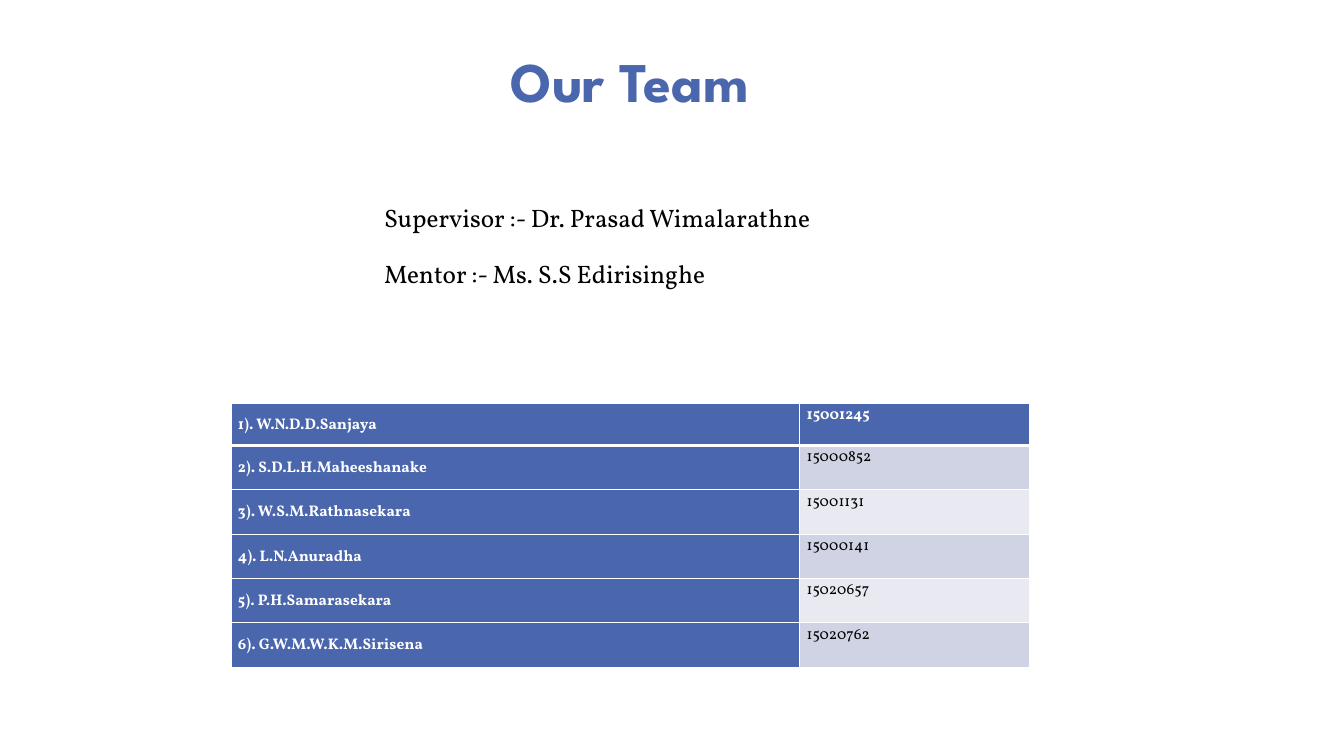
from lxml.etree import SubElement
from pptx import Presentation
from pptx.dml.color import RGBColor
from pptx.enum.text import MSO_ANCHOR, PP_ALIGN
from pptx.oxml.ns import qn
from pptx.util import Emu, Pt

EMU_PER_PX = 9144
COLORS = {
    "blue": "4A66AC",
    "white": "FFFFFF",
    "black": "000000",
    "band_dark": "D0D3E3",
    "band_light": "E9EAF1",
}
HEADING_FONT = "League Spartan"
BODY_FONT = "Vollkorn"
LEADERS = ["Supervisor :- Dr. Prasad Wimalarathne", "Mentor :- Ms. S.S Edirisinghe"]
MEMBERS = [
    ("1). W.N.D.D.Sanjaya", "15001245"),
    ("2). S.D.L.H.Maheeshanake", "15000852"),
    ("3). W.S.M.Rathnasekara", "15001131"),
    ("4). L.N.Anuradha", "15000141"),
    ("5). P.H.Samarasekara", "15020657"),
    ("6). G.W.M.W.K.M.Sirisena", "15020762"),
]
COLUMN_WIDTHS = [564, 228]
HEADER_HEIGHT, MEMBER_HEIGHT = 42, 44


def px(length):
    """Turn a length in px into EMU."""
    return Emu(length * EMU_PER_PX)


def rgb(name):
    """Look up a named colour."""
    return RGBColor.from_string(COLORS[name])


def style(paragraph, face, size, color, bold=False):
    """Set the font of a whole paragraph."""
    font = paragraph.font
    font.name, font.size, font.bold = face, Pt(size), bold
    font.color.rgb = rgb(color)


def add_heading(slide, left, top, width, height):
    """Place and format the title."""
    heading = slide.shapes.title
    heading.left, heading.top = px(left), px(top)
    heading.width, heading.height = px(width), px(height)
    heading.text_frame.text = "Our Team"
    heading.text_frame.vertical_anchor = MSO_ANCHOR.BOTTOM
    paragraph = heading.text_frame.paragraphs[0]
    paragraph.alignment = PP_ALIGN.CENTER
    paragraph.line_spacing = 0.8
    style(paragraph, HEADING_FONT, 40, "blue", True)


def add_leaders(slide, left, top, width, height):
    """List the supervisor and the mentor."""
    frame = slide.shapes.add_textbox(px(left), px(top), px(width), px(height)).text_frame
    frame.word_wrap = True
    frame.margin_left, frame.margin_top = px(306), px(68)
    frame.text = "\n".join(LEADERS)
    for paragraph in frame.paragraphs:
        paragraph.space_after = Pt(18)
        style(paragraph, BODY_FONT, 18, "black")


def add_borders(cell, row):
    """Rule a cell in white, with a heavy line under the first row."""
    heavy = {0: "a:lnB", 1: "a:lnT"}.get(row)
    properties = cell._tc.get_or_add_tcPr()
    for side in ("a:lnL", "a:lnR", "a:lnT", "a:lnB"):
        weight = Pt(3 if side == heavy else 1)
        line = SubElement(properties, qn(side), w=str(weight))
        SubElement(SubElement(line, qn("a:solidFill")), qn("a:srgbClr"), val=COLORS["white"])


def fill_cell(cell, row, column, text):
    """Write and format one cell of the member table."""
    emphasised = row == 0 or column == 0
    band = "band_dark" if row % 2 else "band_light"
    add_borders(cell, row)
    cell.fill.solid()
    cell.fill.fore_color.rgb = rgb("blue" if emphasised else band)
    cell.margin_left = cell.margin_right = px(7)
    cell.margin_top = cell.margin_bottom = 0
    cell.vertical_anchor = MSO_ANCHOR.TOP if column else MSO_ANCHOR.MIDDLE
    cell.text = text
    paragraph = cell.text_frame.paragraphs[0]
    paragraph.line_spacing = 1.07
    style(paragraph, BODY_FONT, 11, "white" if emphasised else "black", emphasised)


def add_members(slide, left, top, width, height):
    """Build the table of members and their numbers."""
    members = slide.shapes.add_table(
        len(MEMBERS), len(COLUMN_WIDTHS), px(left), px(top), px(width), px(height)
    ).table
    members.first_col = True
    for column, column_width in enumerate(COLUMN_WIDTHS):
        members.columns[column].width = px(column_width)
    for row, member in enumerate(MEMBERS):
        members.rows[row].height = px(MEMBER_HEIGHT if row else HEADER_HEIGHT)
        for column, text in enumerate(member):
            fill_cell(members.cell(row, column), row, column, text)


def main():
    """Build and save the team slide."""
    deck = Presentation()
    deck.slide_width, deck.slide_height = px(1333), px(750)
    slide = deck.slides.add_slide(deck.slide_layouts[5])
    add_heading(slide, 441, 25, 367, 92)
    add_leaders(slide, 75, 133, 1033, 252)
    add_members(slide, 229, 400, sum(COLUMN_WIDTHS), HEADER_HEIGHT + 5 * MEMBER_HEIGHT)
    deck.save("out.pptx")


if __name__ == "__main__":
    main()
